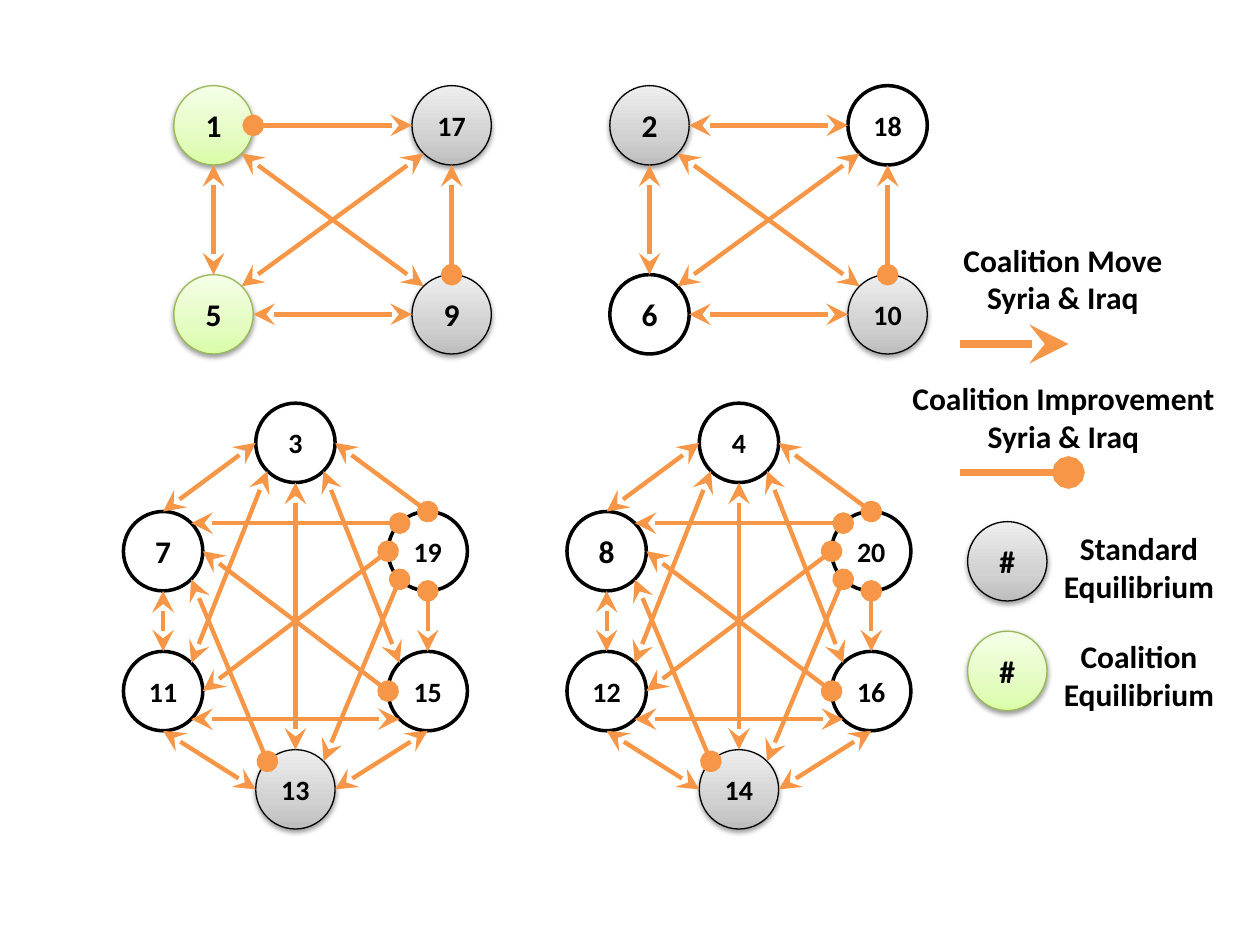
from copy import deepcopy
from lxml.etree import SubElement
from pptx import Presentation
from pptx.dml.color import RGBColor
from pptx.enum.shapes import MSO_CONNECTOR, MSO_SHAPE
from pptx.enum.text import MSO_ANCHOR, MSO_AUTO_SIZE, PP_ALIGN
from pptx.oxml.ns import qn
from pptx.util import Inches, Pt

BLACK = RGBColor(0x00, 0x00, 0x00)
WHITE = RGBColor(0xFF, 0xFF, 0xFF)
ORANGE = RGBColor(0xF7, 0x96, 0x46)
LEAF = RGBColor(0x98, 0xB9, 0x55)
GREYS = [RGBColor.from_string(c) for c in ("BDBDBD", "D1D1D1", "EEEEEE")]
GREENS = [RGBColor.from_string(c) for c in ("DAFDA7", "E4FCC2", "F5FFE7")]
FONT = "Calibri"

# State kinds: gradient colours (none = white), line colour, line width
KINDS = {
    "plain": (None, BLACK, 2),
    "standard": (GREYS, BLACK, 0.75),
    "coalition": (GREENS, LEAF, 0.75),
}
STANDARD = {"17", "9", "2", "10", "13", "14"}
COALITION = {"1", "5"}
LARGE = {"1", "5", "9", "2", "6", "7", "8", "#"}  # 18 pt, the others 16 pt

# Node places inside a graph, and the moves between node sites.
# Ends: ">" is a move, "o" is an improvement.
SIZE = 0.63
SQUARE = {"nw": (0, 0), "ne": (1.89, 0), "sw": (0, 1.5), "se": (1.89, 1.5)}
SQUARE_MOVES = [
    ("ne", "SW", "sw", "NE", ">>"),
    ("ne", "S", "se", "N", ">o"),
    ("nw", "S", "sw", "N", ">>"),
    ("se", "W", "sw", "E", ">>"),
    ("se", "NW", "nw", "SE", ">>"),
]
HEX = {"n": (1.05, 0), "nw": (0, 0.86), "ne": (2.1, 0.86),
       "sw": (0, 1.97), "se": (2.1, 1.97), "s": (1.05, 2.75)}
HEX_MOVES = [
    ("n", "W", "nw", "N", ">>"),
    ("n", "SW", "sw", "NE", ">>"),
    ("n", "S", "s", "N", ">>"),
    ("n", "SE", "se", "NW", ">>"),
    ("n", "E", "ne", "N", ">o"),
    ("s", "W", "sw", "S", ">>"),
    ("s", "E", "se", "S", ">>"),
    ("ne", "SW", "s", "NE", "o>"),
    ("nw", "SE", "s", "NW", ">o"),
    ("nw", "S", "sw", "N", ">>"),
    ("ne", "S", "se", "N", "o>"),
    ("ne", "NW", "nw", "NE", "o>"),
    ("se", "SW", "sw", "SE", ">>"),
    ("se", "W", "nw", "E", "o>"),
    ("sw", "E", "ne", "W", ">o"),
]
# Graphs: left, top, node places, labels in place order, moves
GRAPHS = [
    (1.38, 0.68, SQUARE, ("1", "17", "5", "9"),
     [("ne", "W", "nw", "E", ">o")] + SQUARE_MOVES),
    (4.84, 0.68, SQUARE, ("2", "18", "6", "10"),
     [("ne", "W", "nw", "E", ">>")] + SQUARE_MOVES),
    (4.5, 3.2, HEX, ("4", "8", "20", "12", "16", "14"), HEX_MOVES),
    (0.98, 3.2, HEX, ("3", "7", "19", "11", "15", "13"), HEX_MOVES),
]

# Legend
KEY_LINES = [(2.73, 4.5, " >"), (3.75, 3.75, " o")]
KEY_NODES = [(4.14, "standard"), (5.01, "coalition")]
KEY_TEXTS = [
    ((7.54, 1.86, 1.79, 0.71), ("Coalition Move", "Syria & Iraq"), False),
    ((7.13, 2.96, 2.62, 0.71), ("Coalition Improvement", "Syria & Iraq"), False),
    ((8.12, 4.15, 1.84, 0.71), ("Standard Equilibrium",), True),
    ((8.12, 5.01, 1.84, 0.71), ("Coalition Equilibrium",), True),
]

deck = Presentation()
deck.slide_width, deck.slide_height = Inches(10), Inches(7.5)
slide = deck.slides.add_slide(deck.slide_layouts[6])


def write(para, text, size):
    para.alignment = PP_ALIGN.CENTER
    run = para.add_run()
    run.text = text
    font = run.font
    font.name, font.size, font.bold = FONT, Pt(size), True
    font.color.rgb = BLACK


def shade(fill, props, tones):
    """Three-stop gradient, running upwards."""
    fill.gradient()
    fill.gradient_angle = 90
    stops = props.find(qn("a:gradFill")).find(qn("a:gsLst"))
    stops.append(deepcopy(stops[0]))
    for stop, place, tone in zip(fill.gradient_stops, (0, 0.35, 1), tones):
        stop.position = place
        stop.color.rgb = tone


def cast(props):
    """Soft shadow below the shape."""
    drop = SubElement(props.find(qn("a:effectLst")), qn("a:outerShdw"),
                      blurRad=str(Pt(3.1)), dist=str(Pt(1.6)),
                      dir="5400000", rotWithShape="0")
    tint = SubElement(drop, qn("a:srgbClr"), val=str(BLACK))
    SubElement(tint, qn("a:alpha"), val="38000")


def add_node(left, top, label, kind):
    node = slide.shapes.add_shape(MSO_SHAPE.OVAL, Inches(left), Inches(top),
                                  Inches(SIZE), Inches(SIZE))
    tones, edge, width = KINDS[kind]
    props = node._element.spPr
    node.line.color.rgb, node.line.width = edge, Pt(width)
    node.shadow.inherit = False
    if tones:
        shade(node.fill, props, tones)
        cast(props)
    else:
        node.fill.solid()
        node.fill.fore_color.rgb = WHITE
    frame = node.text_frame
    frame.margin_left = frame.margin_right = 0
    frame.vertical_anchor = MSO_ANCHOR.MIDDLE
    write(frame.paragraphs[0], label, 18 if label in LARGE else 16)


def add_move(start, end, ends, width=2.5):
    move = slide.shapes.add_connector(MSO_CONNECTOR.STRAIGHT,
                                      *map(Inches, start + end))
    move.line.color.rgb, move.line.width = ORANGE, Pt(width)
    props = move._element.spPr
    line = props.find(qn("a:ln"))
    for tag, mark in zip(("a:headEnd", "a:tailEnd"), ends):
        if mark != " ":
            SubElement(line, qn(tag), type="stealth" if mark == ">" else "oval",
                       w="lg", len="lg")
    SubElement(props, qn("a:effectLst"))


def site(left, top, side):
    """Point on a node's rim in a compass direction."""
    reach = SIZE / 2 * (0.5 ** 0.5 if len(side) == 2 else 1)
    across = ("E" in side) - ("W" in side)
    down = ("S" in side) - ("N" in side)
    return left + SIZE / 2 + across * reach, top + SIZE / 2 + down * reach


# Graphs
for left, top, places, labels, moves in GRAPHS:
    spots = {name: (left + x, top + y) for name, (x, y) in places.items()}
    for spot, label in zip(spots.values(), labels):
        kind = ("standard" if label in STANDARD else
                "coalition" if label in COALITION else "plain")
        add_node(*spot, label, kind)
    for first, out, last, into, ends in moves:
        add_move(site(*spots[first], out), site(*spots[last], into), ends)

# Legend
for y, width, ends in KEY_LINES:
    add_move((7.62, y), (8.48, y), ends, width)
for y, kind in KEY_NODES:
    add_node(7.68, y, "#", kind)
for box, lines, wrap in KEY_TEXTS:
    frame = slide.shapes.add_textbox(*map(Inches, box)).text_frame
    frame.word_wrap = wrap
    frame.auto_size = MSO_AUTO_SIZE.SHAPE_TO_FIT_TEXT
    for i, text in enumerate(lines):
        write(frame.add_paragraph() if i else frame.paragraphs[0], text, 18)

deck.save("out.pptx")
